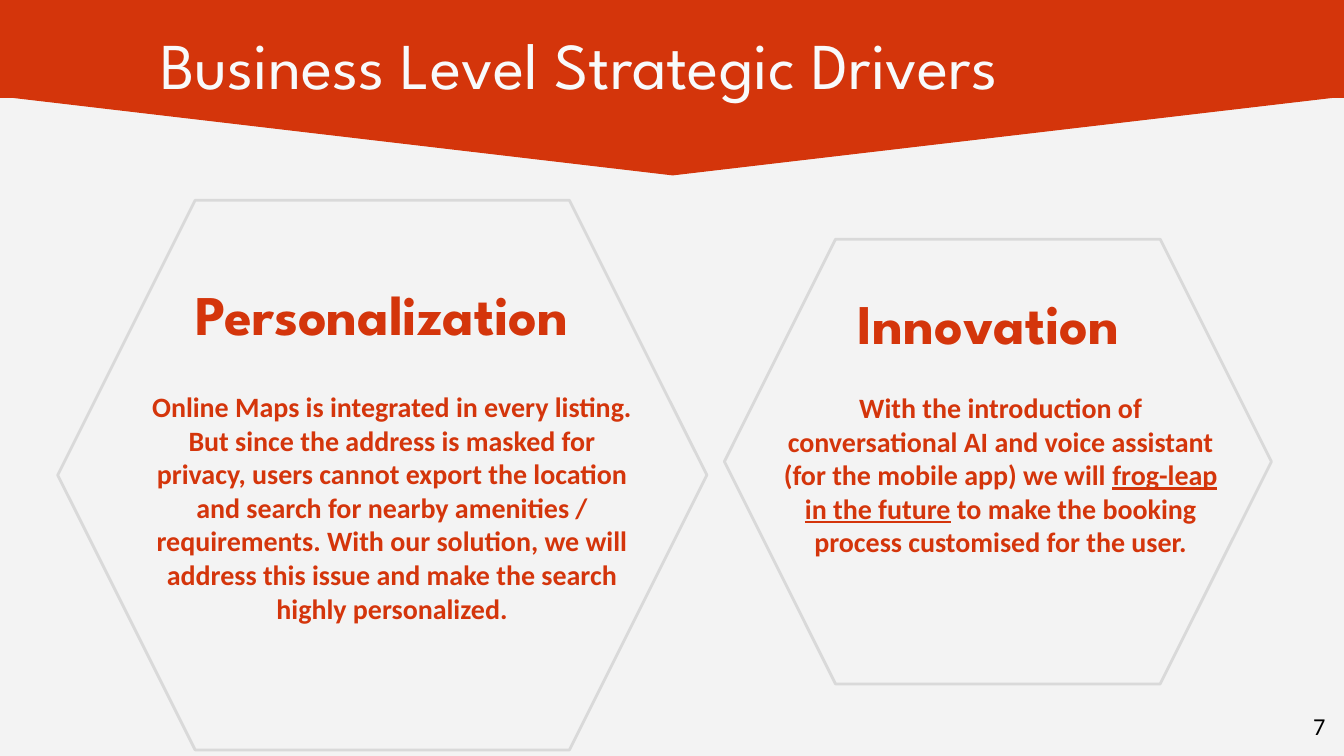
from dataclasses import dataclass
from typing import NamedTuple

from pptx import Presentation
from pptx.dml.color import RGBColor
from pptx.enum.shapes import MSO_SHAPE
from pptx.enum.text import PP_ALIGN
from pptx.util import Inches, Pt


@dataclass(frozen=True)
class Theme:
    page: str = "F3F3F3"
    accent: str = "D4350B"
    title: str = "F8FAFB"
    outline: str = "D9D9D9"
    number: str = "000000"
    display: str = "League Spartan"
    text: str = "Calibri"
    title_size: int = 35
    heading_size: int = 30
    body_size: int = 15
    number_size: int = 13


class Box(NamedTuple):
    x: float
    y: float
    w: float
    h: float

    def inner(self, x, y, w, h):
        return Box(self.x + x * self.w, self.y + y * self.h, w * self.w, h * self.h)

    def emu(self):
        return [Inches(cells * CELL) for cells in self]


THEME = Theme()
CELL = 0.1
COLUMNS, ROWS = 100, 56.25


def color(value):
    return RGBColor.from_string(value)


def add_shape(s, kind, box, line, width, fill=None):
    sp = s.shapes.add_shape(kind, *box.emu())
    sp.shadow.inherit = False
    if fill:
        sp.fill.solid()
        sp.fill.fore_color.rgb = color(fill)
    else:
        sp.fill.background()
    sp.line.color.rgb = color(line)
    sp.line.width = Pt(width)
    return sp


def add_text(s, box, runs, font, size, ink, align=PP_ALIGN.LEFT, bold=False):
    tf = s.shapes.add_textbox(*box.emu()).text_frame
    tf.word_wrap = True
    tf.margin_left = tf.margin_right = tf.margin_top = tf.margin_bottom = Inches(0.1)
    p = tf.paragraphs[0]
    p.alignment = align
    for text, underline in runs:
        r = p.add_run()
        r.text = text
        r.font.name = font
        r.font.size = Pt(size)
        r.font.color.rgb = color(ink)
        r.font.bold = bold
        r.font.underline = underline


def add_banner(s, box, title):
    point = add_shape(s, MSO_SHAPE.ISOSCELES_TRIANGLE, box.inner(0, 0.61, 1, 0.39),
                      THEME.accent, 0.75, THEME.accent)
    point.rotation = 180
    add_shape(s, MSO_SHAPE.RECTANGLE, box.inner(0, 0, 1, 0.62),
              THEME.accent, 0.75, THEME.accent)
    add_text(s, box.inner(0.11, 0.19, 0.78, 0.5), [(title, False)],
             THEME.display, THEME.title_size, THEME.title)


def add_driver(s, box, heading, heading_area, heading_align, body, body_area):
    add_text(s, box.inner(*body_area), body, THEME.text, THEME.body_size,
             THEME.accent, PP_ALIGN.CENTER, True)
    add_text(s, box.inner(*heading_area), [(heading, False)], THEME.display,
             THEME.heading_size, THEME.accent, heading_align, True)
    hexagon = add_shape(s, MSO_SHAPE.HEXAGON, box, THEME.outline, 1.5)
    hexagon.adjustments[0] = 0.25


def add_page_number(s, box, number):
    add_text(s, box, [(number, False)], THEME.text, THEME.number_size,
             THEME.number, PP_ALIGN.RIGHT)


def main():
    prs = Presentation()
    prs.slide_width = Inches(COLUMNS * CELL)
    prs.slide_height = Inches(ROWS * CELL)
    s = prs.slides.add_slide(prs.slide_layouts[6])
    s.background.fill.solid()
    s.background.fill.fore_color.rgb = color(THEME.page)

    add_banner(s, Box(-0.1, -2.1, 100.3, 15.1), "Business Level Strategic Drivers")
    add_page_number(s, Box(93.6, 51.9, 6, 4.3), "7")
    add_driver(
        s, Box(53.9, 17.8, 40.7, 33.1),
        "Innovation", (0.22, 0.08, 0.81, 0.21), PP_ALIGN.LEFT,
        [("With the introduction of conversational AI and voice assistant "
          "(for the mobile app) we will ", False),
         ("frog-leap in the future", True),
         (" to make the booking process customised for the user.", False)],
        (0.08, 0.31, 0.85, 0.52))
    add_driver(
        s, Box(4.3, 14.9, 48.3, 40.9),
        "Personalization", (0.16, 0.12, 0.68, 0.17), PP_ALIGN.CENTER,
        [("Online Maps is integrated in every listing. But since the address is "
          "masked for privacy, users cannot export the location and search for "
          "nearby amenities / requirements. With our solution, we will address "
          "this issue and make the search highly personalized.", False)],
        (0.11, 0.32, 0.81, 0.6))
    prs.save("out.pptx")


if __name__ == "__main__":
    main()
